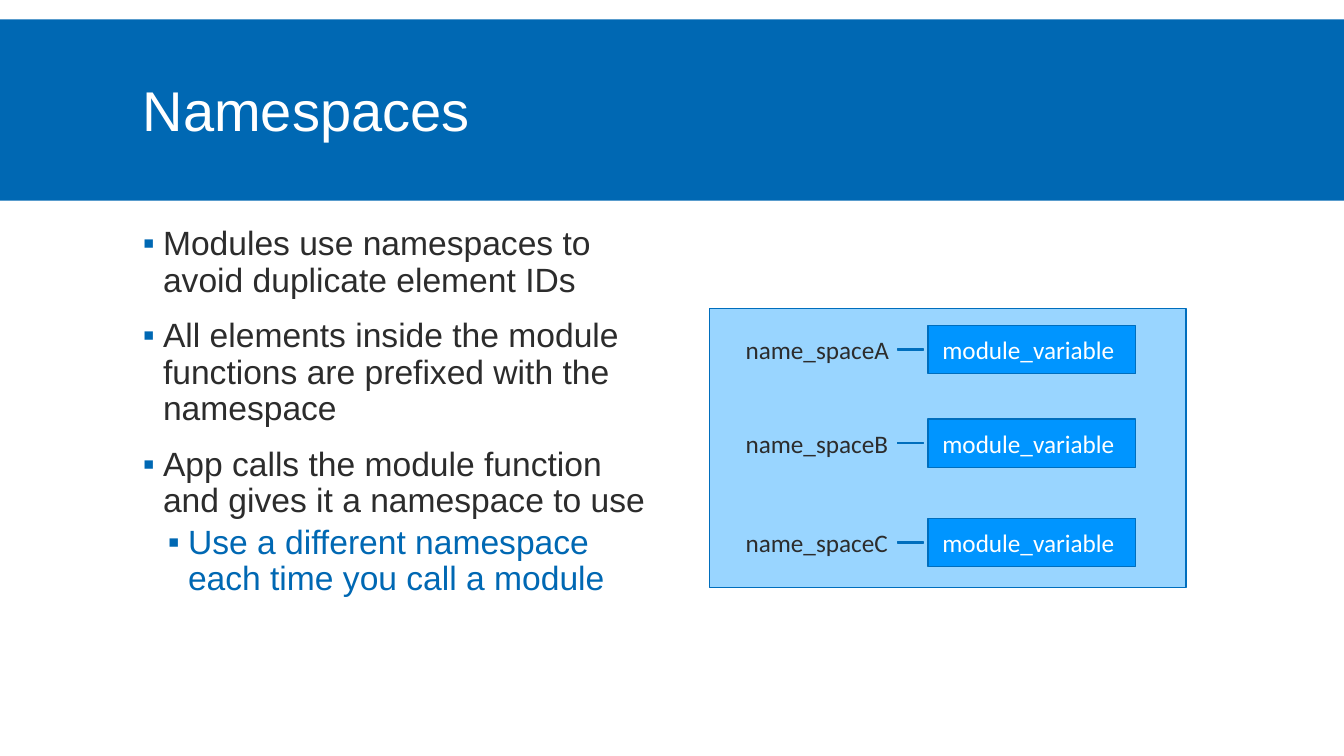
from lxml import etree
from pptx import Presentation
from pptx.dml.color import RGBColor
from pptx.enum import shapes, text
from pptx.oxml import ns
from pptx.util import Cm, Pt

BLUE, DARK, WHITE = "0068B3", "2C2C2C", "FFFFFF"


def add_block(kind, left, top, width, height, fill, line=None):
    block = page.shapes.add_shape(kind, Cm(left), Cm(top), Cm(width), Cm(height))
    block.shadow.inherit = False
    block.fill.solid()
    block.fill.fore_color.rgb = RGBColor.from_string(fill)
    if line:
        block.line.color.rgb = RGBColor.from_string(line)
        block.line.width = Pt(1)
    else:
        block.line.fill.background()


def add_text(left, top, width, height, lines, size, font, color):
    box = page.shapes.add_textbox(Cm(left), Cm(top), Cm(width), Cm(height))
    box.text_frame.word_wrap = True
    box.text_frame.text = "\n".join(lines)
    for para in box.text_frame.paragraphs:
        para.font.size = Pt(size)
        para.font.name = font
        para.font.color.rgb = RGBColor.from_string(color)
    return box.text_frame


deck = Presentation()
deck.slide_width, deck.slide_height = Cm(33.87), Cm(19.05)
page = deck.slides.add_slide(deck.slide_layouts[6])
rectangle = shapes.MSO_SHAPE.RECTANGLE

# Title band
add_block(rectangle, 0, 0.49, 33.87, 4.57, BLUE)
title = add_text(3.35, 0.79, 27.18, 4.19, ["Namespaces"], 40, "Arial", WHITE)
title.vertical_anchor = text.MSO_ANCHOR.MIDDLE
title.paragraphs[0].line_spacing = 0.85

# Bullet list
bullets = [
    ("Modules use namespaces to avoid duplicate element IDs", 0),
    ("All elements inside the module functions are prefixed with the namespace", 0),
    ("App calls the module function and gives it a namespace to use", 0),
    ("Use a different namespace each time you call a module", 1),
]
body = add_text(3.35, 5.59, 13.21, 11.68, [line for line, level in bullets],
                24, "Arial", DARK)
for para, (line, level) in zip(body.paragraphs, bullets):
    para.level = level
    para.line_spacing = 0.9
    para.space_before, para.space_after = (Pt(2), Pt(4)) if level else (Pt(12), Pt(2))
    if level:
        para.font.color.rgb = RGBColor.from_string(BLUE)
    properties = para._p.get_or_add_pPr()
    properties.set("marL", str(Cm(0.51 + 0.63 * level)))
    properties.set("indent", str(-Cm(0.51)))
    bullet_color = etree.SubElement(properties, ns.qn("a:buClr"))
    etree.SubElement(bullet_color, ns.qn("a:srgbClr"), val=BLUE)
    etree.SubElement(properties, ns.qn("a:buFont"), typeface="Arial")
    etree.SubElement(properties, ns.qn("a:buChar"), char="▪")
    # Bullet elements belong before the default run properties
    properties.append(properties.find(ns.qn("a:defRPr")))

# Module diagram: one row per namespace
OUTLINE, BOX_FILL = "006EBD", "0095FF"
add_block(rectangle, 17.88, 7.77, 12.01, 7.04, "99D5FF", OUTLINE)
for letter, top in zip("ABC", (8.2, 10.56, 13.06)):
    add_block(rectangle, 23.39, top, 5.23, 1.22, BOX_FILL, OUTLINE)
    add_text(23.5, top + 0.1, 5.03, 1.02, ["module_variable"], 18, "Calibri", WHITE)
    add_text(18.54, top + 0.1, 4.5, 1.02, [f"name_space{letter}"], 18, "Calibri", DARK)
    add_block(shapes.MSO_SHAPE.MATH_MINUS, 22.5, top + 0.55, 0.89, 0.12,
              BOX_FILL, OUTLINE)

deck.save("out.pptx")
